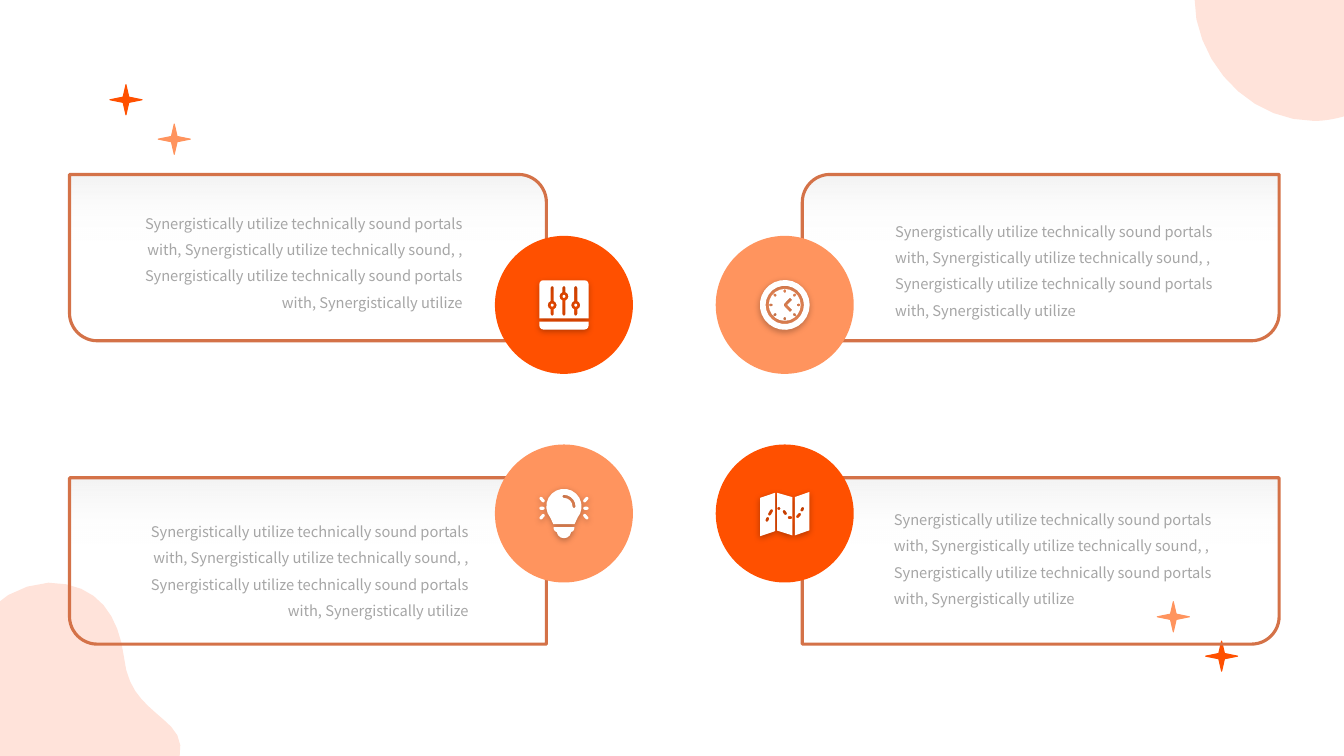
import itertools
import math

import pptx
import pptx.dml.color
import pptx.enum.shapes
import pptx.enum.text
import pptx.oxml
import pptx.oxml.ns
import pptx.util

Pt = pptx.util.Pt
SHAPE = pptx.enum.shapes.MSO_SHAPE
ALIGN = pptx.enum.text.PP_ALIGN
NS = pptx.oxml.ns.nsdecls("a")

ORANGE, PEACH, BRONZE = "FF5000", "FF945E", "D47248"
BLUSH, WHITE, GREY = "FFE3DA", "FFFFFF", "A6A6A6"
AXIS = 481.7
CARD_W, CARD_H, CARD_GAP = 340.6, 118.8, 91.4
DISC, DISC_GAP = 98.6, 78.85
STAR_W, STAR_H = 23, 21.6
CAPTION = (
    "Synergistically utilize technically sound portals with, "
    "Synergistically utilize technically sound, , "
    "Synergistically utilize technically sound portals with, "
    "Synergistically utilize"
)
BLOB_START = (70, 0)
BLOB_CURVES = [
    ((27.4, 2.9), (0, 43.9), (8.6, 92.2)),
    ((16.6, 132.5), (51.8, 164.9), (92.9, 164.9)),
    ((100.1, 164.9), (108, 163.4), (115.2, 161.3)),
    ((164.9, 146.9), (172.1, 117.4), (157.7, 103)),
    ((143.3, 88.6), (126.7, 81.4), (123.8, 52.6)),
    ((120.2, 25.2), (106.6, 0), (70, 0)),
]


def colour(value):
    return pptx.dml.color.RGBColor.from_string(value)


def apply(target, values):
    for name, value in values.items():
        setattr(target, name, value)


def arc(x, y, radius, start, end):
    """Points along a circle, clockwise from the right, in degrees."""
    sweep = math.radians(end - start)
    steps = math.ceil(abs(sweep) / math.sqrt(1.2 / radius))
    angles = [math.radians(start) + sweep * i / steps for i in range(steps + 1)]
    return [(x + radius * math.cos(a), y + radius * math.sin(a)) for a in angles]


def circle(x, y, radius):
    return arc(x, y, radius, 0, 360)


def capsule(x1, y1, x2, y2, radius=1.1):
    """Outline of a round-ended stroke."""
    turn = math.degrees(math.atan2(y2 - y1, x2 - x1))
    return (arc(x2, y2, radius, turn - 90, turn + 90)
            + arc(x1, y1, radius, turn + 90, turn + 270))


def bezier(start, curves, steps=8):
    points = [start]
    for c1, c2, end in curves:
        for t in (i / steps for i in range(1, steps + 1)):
            weights = ((1 - t) ** 3, 3 * t * (1 - t) ** 2, 3 * t * t * (1 - t), t ** 3)
            knots = (start, c1, c2, end)
            points.append(tuple(sum(w * k[axis] for w, k in zip(weights, knots))
                                for axis in (0, 1)))
        start = end
    return points


# Each icon is a list of outlines around (0, 0); inner outlines cut holes.

def clock():
    hand = [(3.7, -5.2), (5.4, -3.6), (1.8, 0), (5.4, 3.6), (3.7, 5.2), (-0.7, 0.6), (-0.7, -0.6)]
    ticks = []
    for angle in range(0, 360, 45):
        x, y = math.cos(math.radians(angle)), math.sin(math.radians(angle))
        ticks.append(capsule(9.6 * x, 9.6 * y, 10.2 * x, 10.2 * y, 1))
    return [circle(0, 0, 17.8), circle(0, 0, 13.7), circle(0, 0, 11.4), hand] + ticks


def sliders():
    knobs = [(-8.4, 0.2), (0, -6.1), (8.4, 0.2)]
    panel = (arc(-14.7, -14.7, 2.9, 180, 270) + arc(14.7, -14.7, 2.9, 270, 360)
             + [(17.6, 9.7), (-17.6, 9.7)])
    strip = ([(-17.6, 11.9), (17.6, 11.9)]
             + arc(14.7, 14.7, 2.9, 0, 90) + arc(-14.7, 14.7, 2.9, 90, 180))
    slots = [arc(x, -12.3, 1.1, 180, 360) + arc(x, y, 3.2, -70, 70)
             + arc(x, 6.6, 1.1, 0, 180) + arc(x, y, 3.2, 110, 250) for x, y in knobs]
    return [panel, strip] + slots + [circle(x, y, 1.1) for x, y in knobs]


def bulb():
    base = ([(-7.4, 9.7), (7.4, 9.7)] + arc(4.4, 10.4, 3, 0, 80)
            + arc(0, 12.5, 5.2, 10, 170) + arc(-4.4, 10.4, 3, 100, 180))
    glass = arc(0, -5, 12.6, 140, 400) + [(7.6, 7.6), (-7.6, 7.6)]
    shine = (arc(0, -5, 8.3, 270, 360) + arc(7.2, -5, 1.1, 0, 180)
             + arc(0, -5, 6.1, 360, 270) + arc(0, -12.2, 1.1, 90, 270))
    rays = [capsule(side * x1, y1, side * x2, y2)
            for side in (-1, 1)
            for x1, y1, x2, y2 in ((14.9, -3.7, 16.5, -3.7),
                                   (14.8, -9, 16.4, -10.8), (14.8, 1.4, 16.4, 3.2))]
    return [base, glass, shine] + rays


def folded_map():
    panels = [
        [(-6.9, -14.8), (-17.6, -11.2), (-17.6, 16.2), (-6.9, 12.6)],
        [(-5.4, -14.8), (-5.4, 12.2), (5.4, 15.6), (5.4, -11.7)],
        [(7.3, -11.8), (7.3, 15.6), (17.6, 12), (17.6, -15.4)],
    ]
    route = [(-12.2, 3.6, -12.7, 4.8), (-9.4, -2, -10.8, 0.4), (-4.3, -3.6, -4.1, -3.6),
             (-0.4, -1.4, 0.5, 0), (3.2, 2.9, 4.3, 2.9), (10.6, 0.6, 9.2, 2.2),
             (12.8, -3.6, 12.3, -2.5)]
    return panels + [capsule(*dash) for dash in route]


class Slide:
    """Draws styled elements on one page, in points."""
    text_font = {"name": "Noto Sans CJK SC", "size": Pt(10.5)}

    def __init__(self, page):
        self.page = page

    def paint(self, shape, fill, line=None, width=0.75):
        shape.shadow.inherit = False
        shape.fill.solid()
        shape.fill.fore_color.rgb = colour(fill)
        if line:
            shape.line.color.rgb = colour(line)
            shape.line.width = Pt(width)
        else:
            shape.line.fill.background()
        return shape

    def preset(self, kind, x, y, w, h, *style, adjust=()):
        shape = self.page.shapes.add_shape(kind, Pt(x), Pt(y), Pt(w), Pt(h))
        for index, value in enumerate(adjust):
            shape.adjustments[index] = value
        return self.paint(shape, *style)

    def outline(self, x, y, contours, fill):
        """One freeform from closed contours, moved by (x, y)."""
        placed = [[(Pt(x + px), Pt(y + py)) for px, py in points] for points in contours]
        builder = self.page.shapes.build_freeform(*placed[0][0], scale=1.0)
        for index, points in enumerate(placed):
            if index:
                builder.move_to(*points[0])
            builder.add_line_segments(points[1:], close=True)
        return self.paint(builder.convert_to_shape(), fill)

    def card(self, x, y, adjust):
        shape = self.preset(SHAPE.ROUND_2_DIAG_RECTANGLE, x, y, CARD_W, CARD_H,
                            WHITE, BRONZE, 2.25, adjust=adjust)
        shape.fill.gradient()
        shape.fill.gradient_angle = 270
        stops = shape._element.spPr.find(".//" + pptx.oxml.ns.qn("a:gsLst"))
        for stop in list(stops):
            stops.remove(stop)
        for place, tint, alpha in ((0, "F3F3F3", 100), (40, WHITE, 0), (100, WHITE, 0)):
            stops.append(pptx.oxml.parse_xml(
                f'<a:gs {NS} pos="{place * 1000}"><a:srgbClr val="{tint}">'
                f'<a:alpha val="{alpha * 1000}"/></a:srgbClr></a:gs>'))

    def icon(self, x, y, contours):
        shape = self.outline(x, y, contours, WHITE)
        effects = shape._element.spPr.find(pptx.oxml.ns.qn("a:effectLst"))
        effects.append(pptx.oxml.parse_xml(
            f'<a:outerShdw {NS} blurRad="{Pt(4.5)}" dist="{Pt(1.5)}" dir="5400000" '
            'algn="t" rotWithShape="0"><a:srgbClr val="000000">'
            '<a:alpha val="27000"/></a:srgbClr></a:outerShdw>'))

    def caption(self, x, y, align):
        box = self.page.shapes.add_textbox(Pt(x), Pt(y), Pt(232.6), Pt(74.2))
        apply(box.text_frame, {
            "word_wrap": True, "auto_size": pptx.enum.text.MSO_AUTO_SIZE.SHAPE_TO_FIT_TEXT,
            "margin_left": 0, "margin_right": 0, "margin_top": 0, "margin_bottom": 0})
        para = box.text_frame.paragraphs[0]
        apply(para, {"alignment": align, "line_spacing": 1.5})
        span = para.add_run()
        span.text = CAPTION
        apply(span.font, self.text_font)
        span.font.color.rgb = colour(GREY)


def main():
    deck = pptx.Presentation()
    apply(deck, {"slide_width": Pt(960), "slide_height": Pt(540)})
    slide = Slide(deck.slides.add_slide(deck.slide_layouts[6]))

    stars = [(78.5, 60.5, ORANGE), (113, 88.6, PEACH)]
    stars += [(962.6 - STAR_W - x, 518.4 - y, tint) for x, y, tint in stars]
    for x, y, tint in stars:
        slide.preset(SHAPE.STAR_4_POINT, x, y, STAR_W, STAR_H, tint, tint, adjust=[0.125])
    for x, y in ((846, -78.5), (-35.3, 416.2)):
        slide.outline(x, y, [bezier(BLOB_START, BLOB_CURVES)], BLUSH)

    for side, y in itertools.product((-1, 1), (124.6, 341.3)):
        left = AXIS + CARD_GAP if side > 0 else AXIS - CARD_GAP - CARD_W
        slide.card(left, y, (0.167, 0) if side > 0 else (0, 0.167))

    for side, y, tint, contours in ((1, 217.8, PEACH, clock()), (-1, 217.8, ORANGE, sliders()),
                                    (1, 366.8, ORANGE, folded_map()), (-1, 366.8, PEACH, bulb())):
        x = AXIS + side * DISC_GAP
        slide.preset(SHAPE.OVAL, x - DISC / 2, y - DISC / 2, DISC, DISC, tint)
        slide.icon(x, y, contours)

    for x, y, align in ((97.9, 146.9, ALIGN.RIGHT), (102.2, 367.2, ALIGN.RIGHT),
                        (639.4, 152.6, ALIGN.LEFT), (638.6, 358.6, ALIGN.LEFT)):
        slide.caption(x, y, align)
    deck.save("out.pptx")


if __name__ == "__main__":
    main()
